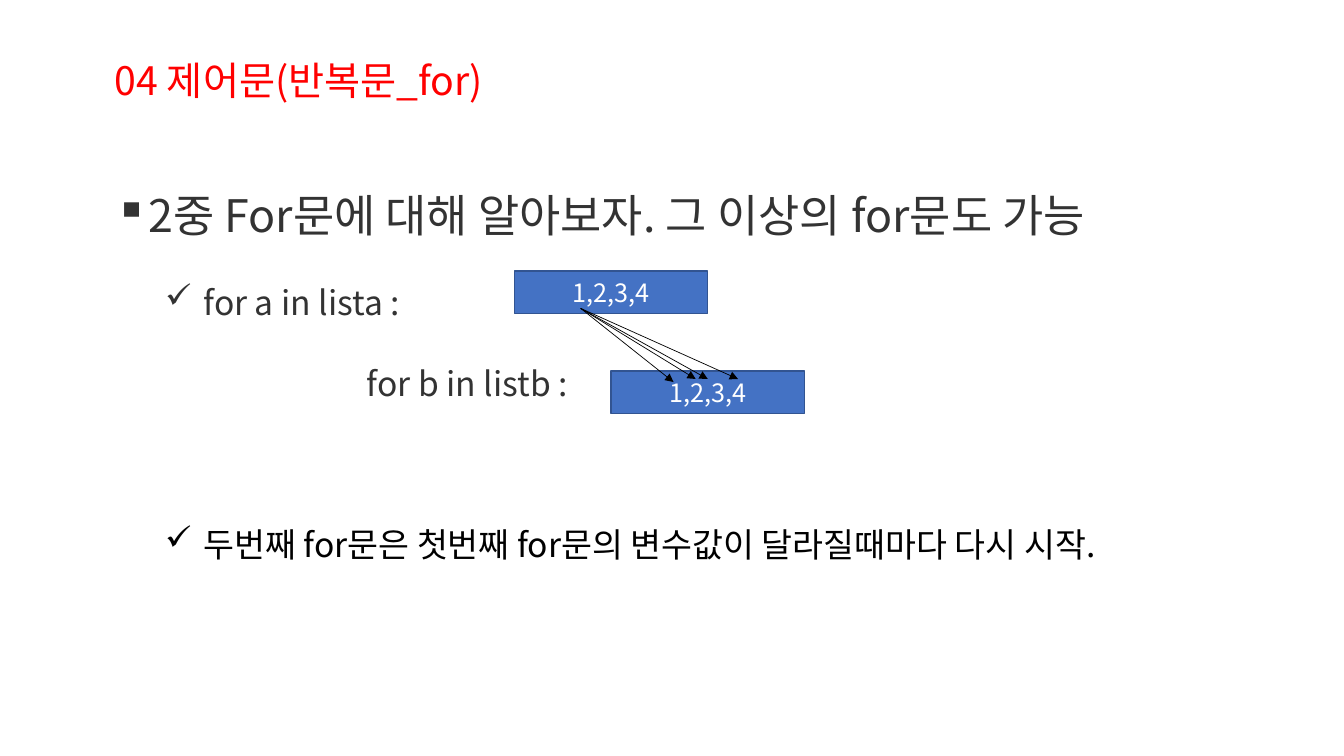
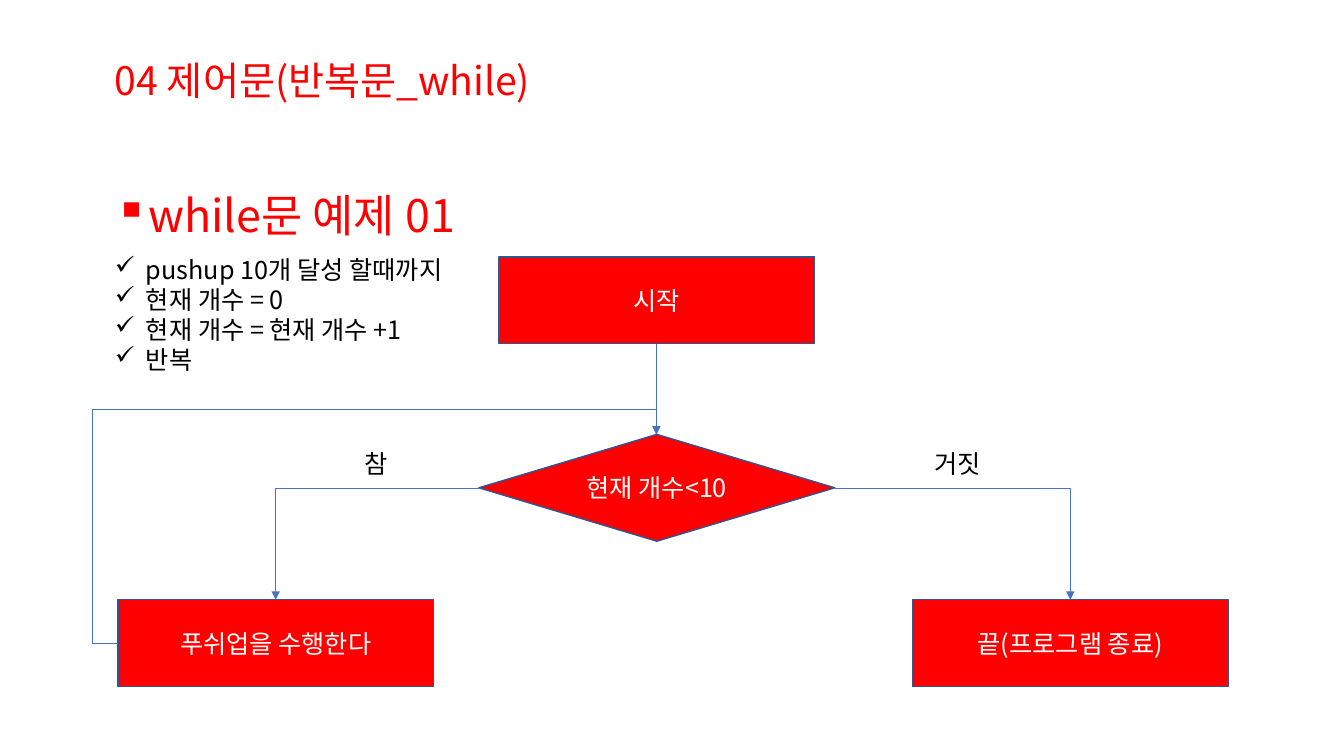
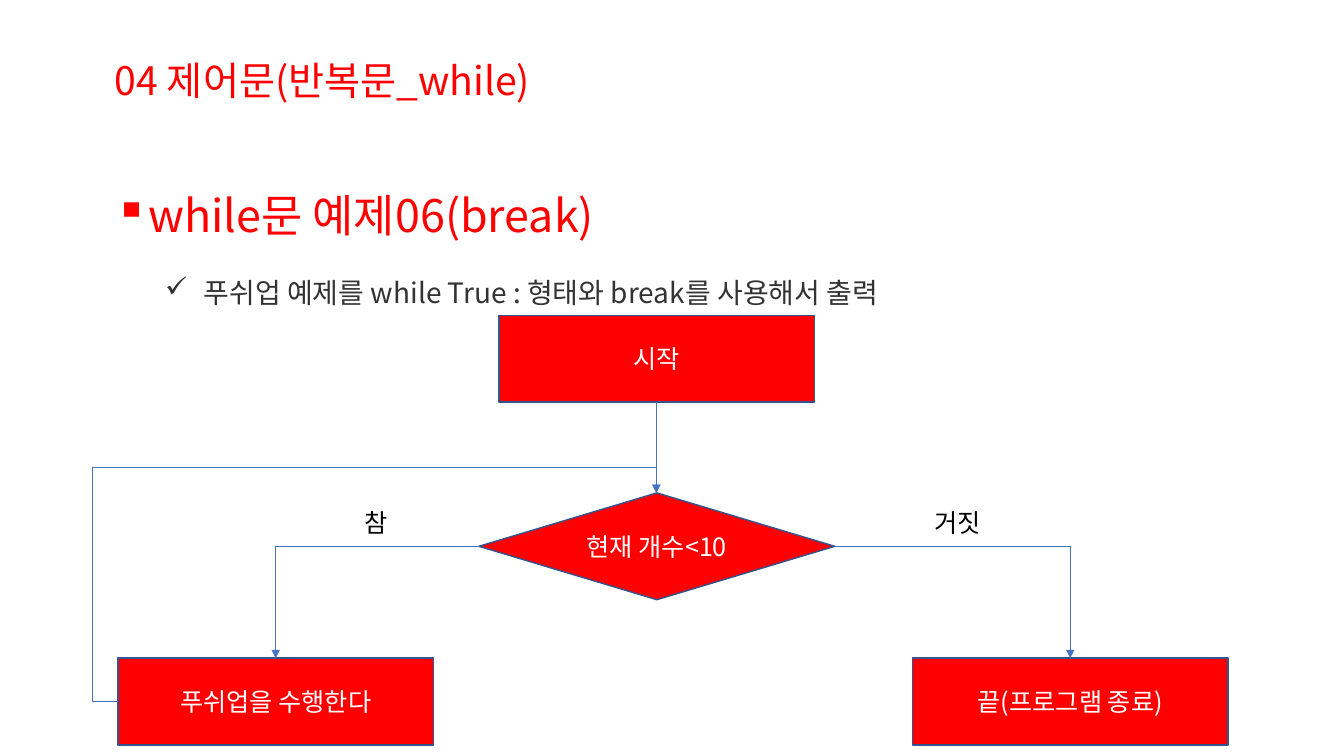
from lxml import etree
from pptx import Presentation
from pptx.dml.color import RGBColor
from pptx.enum.shapes import MSO_CONNECTOR, MSO_SHAPE
from pptx.enum.text import MSO_ANCHOR, MSO_AUTO_SIZE, PP_ALIGN
from pptx.oxml.ns import qn
from pptx.util import Inches, Pt

RECT, DIAMOND = MSO_SHAPE.RECTANGLE, MSO_SHAPE.DIAMOND
STRAIGHT, ELBOW = MSO_CONNECTOR.STRAIGHT, MSO_CONNECTOR.ELBOW
LEFT, CENTER = PP_ALIGN.LEFT, PP_ALIGN.CENTER
MIDDLE, GROW = MSO_ANCHOR.MIDDLE, MSO_AUTO_SIZE.SHAPE_TO_FIT_TEXT


class Theme:
    font = "Noto Sans CJK KR"
    red, blue, edge = "FF0000", "4472C4", "325491"
    black, gray, white = "000000", "333333", "FFFFFF"
    title, head, code, note, body = 28, 32, 24, 20, 18
    hair, rim = 0.5, 1


def rgb(code):
    return RGBColor.from_string(code)


def write(para, text, size=Theme.body, color=Theme.black, align=LEFT,
          bullet=None, left=0, hang=0, level=0, lines=None, before=None):
    """Fill a paragraph; left and hang are the indents in inches."""
    para.alignment = align
    para.level = level
    props = para._p.get_or_add_pPr()
    if left:
        props.set("marL", str(Inches(left)))
        props.set("indent", str(Inches(-hang)))
    if bullet:
        etree.SubElement(props, qn("a:buChar"), char=bullet)
    if lines:
        para.line_spacing = lines
    if before:
        para.space_before = Pt(before)
    run = para.add_run()
    run.text = text
    font = run.font
    font.name, font.size = Theme.font, Pt(size)
    font.color.rgb = rgb(color)
    etree.SubElement(run._r.get_or_add_rPr(), qn("a:ea"), typeface=Theme.font)


def head(text, color):
    return dict(text=text, size=Theme.head, color=color, bullet="▪",
                left=0.31, hang=0.31, lines=2.0)


def check(text, **form):
    return dict(text=text, bullet="✓", left=0.31, hang=0.31) | form


def point(text, **form):
    return check(text, left=0.88, hang=0.38, level=1, lines=2.0, **form)


class Deck:
    def __init__(self):
        self.file = Presentation()
        self.file.slide_width = Inches(13.33)
        self.file.slide_height = Inches(7.5)
        self.slide = None

    def page(self, title):
        self.slide = self.file.slides.add_slide(self.file.slide_layouts[6])
        self.text(1.04, 0.51, 7.56, 0.57,
                  dict(text=title, size=Theme.title, color=Theme.red))

    def text(self, x, y, w, h, *items):
        box = self.slide.shapes.add_textbox(*map(Inches, (x, y, w, h)))
        frame = box.text_frame
        frame.word_wrap, frame.auto_size = True, GROW
        for i, item in enumerate(items):
            para = frame.add_paragraph() if i else frame.paragraphs[0]
            write(para, **item)

    def node(self, x, y, w, h, text, fill=Theme.red, kind=RECT):
        shape = self.slide.shapes.add_shape(kind, *map(Inches, (x, y, w, h)))
        shape.shadow.inherit = False
        shape.fill.solid()
        shape.fill.fore_color.rgb = rgb(fill)
        shape.line.color.rgb = rgb(Theme.edge)
        shape.line.width = Pt(Theme.rim)
        frame = shape.text_frame
        frame.word_wrap, frame.vertical_anchor = True, MIDDLE
        write(frame.paragraphs[0], text, color=Theme.white, align=CENTER)

    def arrow(self, start, end, color=Theme.blue, bend=None, adjust=()):
        """Draw an arrow; bend names a preset elbow, adjust its ratios."""
        link = self.slide.shapes.add_connector(
            ELBOW if bend else STRAIGHT, *map(Inches, (*start, *end)))
        link.line.color.rgb = rgb(color)
        link.line.width = Pt(Theme.hair)
        props = link._element.spPr
        etree.SubElement(props.find(qn("a:ln")), qn("a:tailEnd"),
                         type="triangle")
        etree.SubElement(props, qn("a:effectLst"))
        if bend:
            geom = props.find(qn("a:prstGeom"))
            geom.set("prst", bend)
            guides = geom.find(qn("a:avLst"))
            for i, ratio in enumerate(adjust, 1):
                etree.SubElement(guides, qn("a:gd"), name=f"adj{i}",
                                 fmla=f"val {round(ratio * 100000)}")

    def flow(self, top):
        """Draw the push-up loop with its start box at the given top."""
        wide, high = 3.13, 0.86
        yes, no, mid = 1.17, 9.05, 6.51
        peak, base = top + 1.76, top + 3.4
        axis = peak + 0.53
        self.node(yes, base, wide, high, "푸쉬업을 수행한다")
        self.node(no, base, wide, high, "끝(프로그램 종료)")
        self.node(4.95, top, wide, high, "시작")
        self.node(4.75, peak, 3.53, 1.06, "현재 개수<10", kind=DIAMOND)
        for tip, x in ((4.75, yes), (8.28, no)):
            self.arrow((tip, axis), (x + wide / 2, base),
                       bend="bentConnector2")
        for x, w, label in ((3.52, 0.76, "참"), (9.17, wide, "거짓")):
            self.text(x, top + 1.85, w, 0.4, dict(text=label))
        self.arrow((mid, top + high), (mid, peak))
        low, gap = base + high / 2, 0.25
        self.arrow((yes, low), (mid, peak), bend="bentConnector4",
                   adjust=(-gap / (mid - yes), 1 + gap / (low - peak)))


def main():
    deck = Deck()

    deck.page("04 제어문(반복문_for)")
    for x, y in ((5.1, 2.69), (6.06, 3.68)):
        deck.node(x, y, 1.92, 0.42, "1,2,3,4", fill=Theme.blue)
    for end in ((6.68, 3.79), (6.9, 3.76), (7.02, 3.76), (7.32, 3.76)):
        deck.arrow((5.76, 3.06), end, color=Theme.black)
    deck.text(
        1.04, 1.28, 11.73, 4.41,
        head("2중 For문에 대해 알아보자. 그 이상의 for문도 가능", Theme.gray),
        point("for a in lista :", size=Theme.code, color=Theme.gray),
        dict(text="for b in listb :", size=Theme.code, color=Theme.gray,
             left=2.5, level=1, lines=2.0),
        point("두번째 for문은 첫번째 for문의 변수값이 달라질때마다 다시 시작.",
              size=Theme.code, before=57.5))

    deck.page("04 제어문(반복문_while)")
    deck.text(1.04, 1.28, 10.92, 1.01, head("while문 예제 01", Theme.red))
    deck.flow(2.55)
    steps = ("pushup 10개 달성 할때까지", "현재 개수 = 0",
             "현재 개수 = 현재 개수 +1", "반복")
    deck.text(1.04, 2.47, 3.94, 1.31, *map(check, steps))

    deck.page("04 제어문(반복문_while)")
    deck.text(
        1.04, 1.28, 11.73, 1.74,
        head("while문 예제06(break)", Theme.red),
        point("푸쉬업 예제를 while True : 형태와 break를 사용해서 출력",
              size=Theme.note, color=Theme.gray))
    deck.flow(3.13)

    deck.file.save("out.pptx")


if __name__ == "__main__":
    main()
